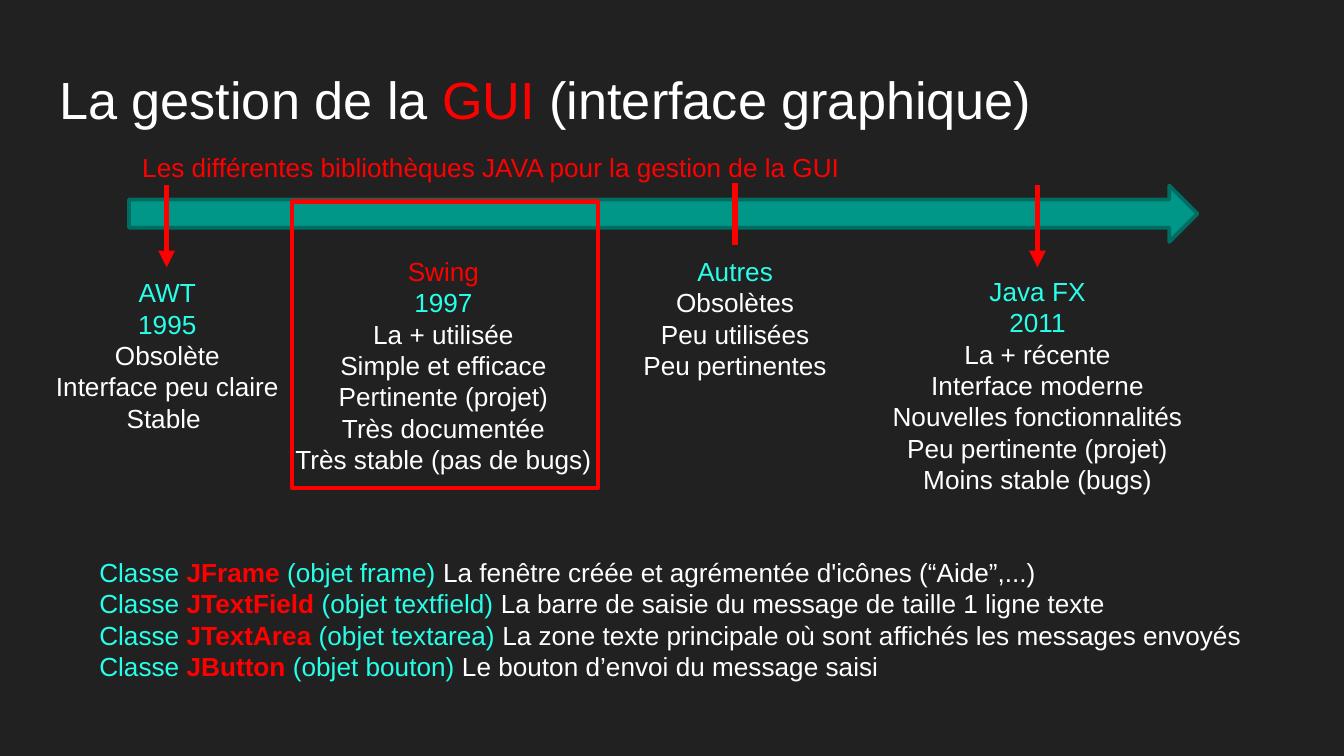
from lxml import etree
from pptx import Presentation
from pptx.dml.color import RGBColor
from pptx.enum import shapes, text
from pptx.oxml import ns
from pptx.util import Inches, Pt

BACKGROUND = RGBColor(0x21, 0x21, 0x21)
WHITE = RGBColor(0xFF, 0xFF, 0xFF)
RED = RGBColor(0xFF, 0, 0)
CYAN = RGBColor(0x27, 0xFF, 0xE9)
TEAL = RGBColor(0, 0x96, 0x88)
DARK_TEAL = RGBColor(0, 0x6D, 0x63)

# Box, text inset above and below, lines with their colours
LIBRARIES = [
    ((0.27, 2.01, 1.95, 1.67), 0.05,
     [("AWT", CYAN), ("1995", CYAN), ("Obsolète", WHITE),
      ("Interface peu claire", WHITE), ("Stable ", WHITE)]),
    ((2.03, 1.85, 2.54, 1.77), 0.05,
     [("Swing", RED), ("1997", CYAN), ("La + utilisée", WHITE),
      ("Simple et efficace", WHITE), ("Pertinente (projet)", WHITE),
      ("Très documentée", WHITE), ("Très stable (pas de bugs)", WHITE)]),
    ((4.55, 1.8, 1.84, 1.23), 0.1,
     [("Autres", CYAN), ("Obsolètes", WHITE), ("Peu utilisées", WHITE),
      ("Peu pertinentes", WHITE)]),
    ((6.48, 2, 2.48, 1.77), 0.05,
     [("Java FX", CYAN), ("2011", CYAN), ("La + récente", WHITE),
      ("Interface moderne", WHITE), ("Nouvelles fonctionnalités", WHITE),
      ("Peu pertinente (projet)", WHITE), ("Moins stable (bugs)", WHITE)]),
]

CLASSES = [
    ("JFrame", "frame", "La fenêtre créée et agrémentée d'icônes (“Aide”,...)"),
    ("JTextField", "textfield",
     "La barre de saisie du message de taille 1 ligne texte"),
    ("JTextArea", "textarea",
     "La zone texte principale où sont affichés les messages envoyés"),
    ("JButton", "bouton", "Le bouton d’envoi du message saisi"),
]


def inches(box):
    return [Inches(length) for length in box]


def fill_frame(frame, lines, size=14, inset=0.05, align=text.PP_ALIGN.LEFT):
    """Write lines, each a list of (words, colour, bold) spans."""
    frame.word_wrap = True
    frame.vertical_anchor = text.MSO_ANCHOR.TOP
    frame.margin_left = frame.margin_right = Inches(0.1)
    frame.margin_top = frame.margin_bottom = Inches(inset)
    for index, spans in enumerate(lines):
        para = frame.add_paragraph() if index else frame.paragraphs[0]
        para.alignment = align
        for words, colour, bold in spans:
            span = para.add_run()
            span.text = words
            span.font.name = "Arial"
            span.font.size = Pt(size)
            span.font.bold = bold
            span.font.color.rgb = colour


def add_text(page, box, lines, **options):
    frame = page.shapes.add_textbox(*inches(box)).text_frame
    fill_frame(frame, lines, **options)


def add_title(page, box):
    title = page.shapes.title
    title.left, title.top, title.width, title.height = inches(box)
    spans = [("La gestion de la ", WHITE, False), ("GUI", RED, False),
             (" (interface graphique)", WHITE, False)]
    fill_frame(title.text_frame, [spans], size=28, inset=0.1)


def add_marker(page, x, top, bottom, arrow):
    line = page.shapes.add_connector(
        shapes.MSO_CONNECTOR.STRAIGHT, *inches((x, top, x, bottom)))
    line.line.color.rgb = RED
    line.line.width = Pt(3)
    if arrow:
        etree.SubElement(line.line._get_or_add_ln(), ns.qn("a:tailEnd"),
                         type="triangle")
    etree.SubElement(line._element.spPr, ns.qn("a:effectLst"))


def add_timeline(page, box):
    left, top, width, height = box
    # Caption and time arrow
    add_text(page, (left, top - 0.35, 5.71, 0.57),
             [[("Les différentes bibliothèques JAVA pour la gestion de la GUI",
                RED, False)]], inset=0.1)
    arrow = page.shapes.add_shape(shapes.MSO_SHAPE.RIGHT_ARROW, *inches(box))
    arrow.shadow.inherit = False
    arrow.fill.solid()
    arrow.fill.fore_color.rgb = TEAL
    arrow.line.color.rgb = DARK_TEAL
    arrow.line.width = Pt(2)

    # Date markers
    add_marker(page, left + 0.28, top, top + 0.61, True)
    add_marker(page, left + 4.51, top - 0.02, top + 0.44, False)
    add_marker(page, left + 6.76, top, top + 0.61, True)


def add_libraries(page):
    for box, inset, lines in LIBRARIES:
        add_text(page, box, [[(words, colour, False)] for words, colour in lines],
                 inset=inset, align=text.PP_ALIGN.CENTER)


def add_highlight(page, box):
    frame = page.shapes.add_shape(shapes.MSO_SHAPE.RECTANGLE, *inches(box))
    frame.shadow.inherit = False
    frame.fill.background()
    frame.line.color.rgb = RED
    frame.line.width = Pt(2.25)


def add_classes(page, box):
    lines = [[("Classe ", CYAN, False), (name, RED, True),
              (f" (objet {item}) ", CYAN, False), (role, WHITE, False)]
             for name, item, role in CLASSES]
    add_text(page, box, lines)


def main():
    deck = Presentation()
    # Widescreen, 16:9
    deck.slide_width = Inches(10)
    deck.slide_height = Inches(10) * 9 // 16
    page = deck.slides.add_slide(deck.slide_layouts[5])
    page.background.fill.solid()
    page.background.fill.fore_color.rgb = BACKGROUND

    add_title(page, (0.34, 0.4, 9.32, 0.63))
    add_timeline(page, (0.96, 1.38, 7.95, 0.42))
    add_libraries(page)
    add_highlight(page, (2.17, 1.5, 2.28, 2.13))
    add_classes(page, (0.64, 4.09, 8.71, 1.04))
    deck.save("out.pptx")


if __name__ == "__main__":
    main()
